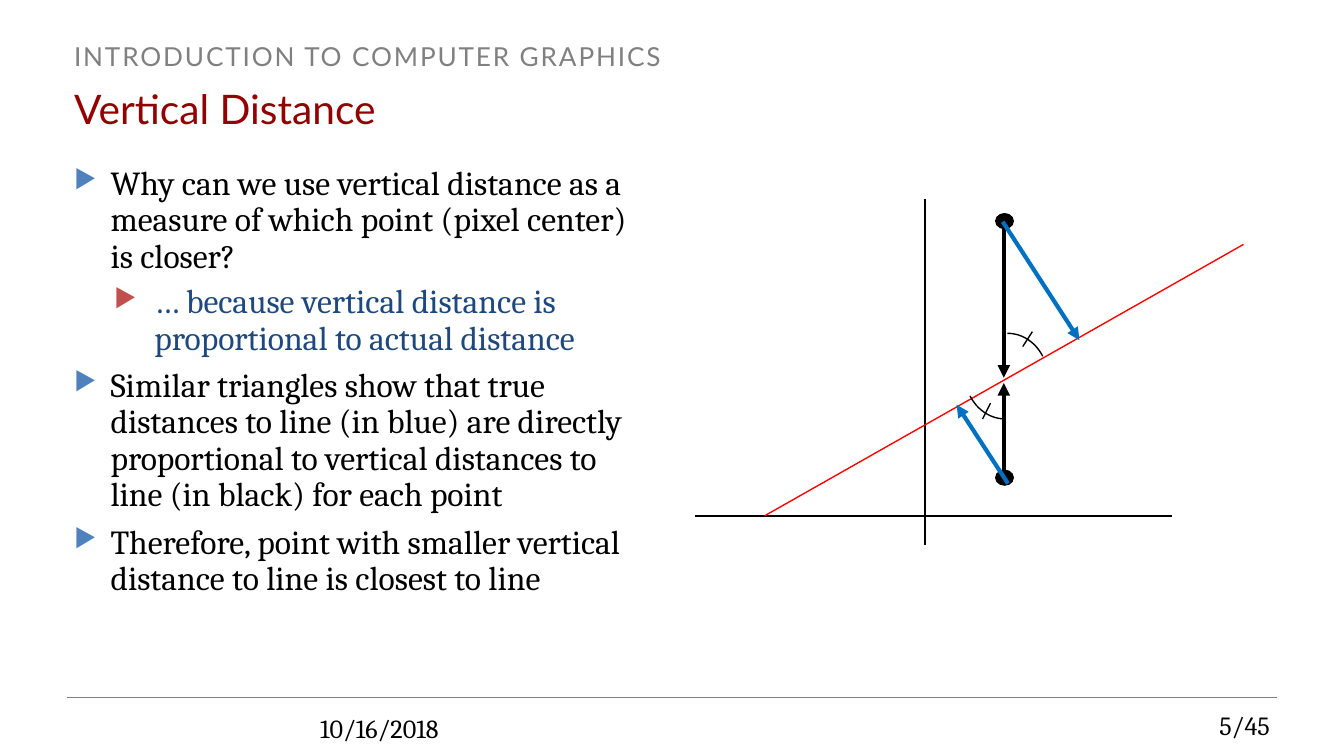
from math import cos, radians, sin

from lxml.etree import SubElement
from pptx import Presentation
from pptx.dml.color import RGBColor
from pptx.enum.shapes import MSO_CONNECTOR, MSO_SHAPE
from pptx.enum.text import MSO_ANCHOR, PP_ALIGN
from pptx.oxml.ns import qn
from pptx.util import Cm, Pt

COLORS = {
    "black": "000000",
    "gray": "808080",
    "title": "920000",
    "answer": "1F497D",
    "bullet": "4F81BD",
    "sub_bullet": "C0504D",
    "line": "FF0000",
    "distance": "0070C0",
}

prs = Presentation()
prs.slide_width, prs.slide_height = Cm(25.4), Cm(14.29)
slide = prs.slides.add_slide(prs.slide_layouts[6])
shapes = slide.shapes


def write(frame, text, size=14, font="Cambria", color="black", align=PP_ALIGN.LEFT,
          line_spacing=None, space_before=0, spacing=None, bullet=None, indent=0, hanging=0):
    """Fill the empty first paragraph of the frame, or append a new one."""
    paragraph = frame.paragraphs[0]
    if paragraph.runs:
        paragraph = frame.add_paragraph()
        paragraph.space_before = Pt(space_before)
    paragraph.alignment = align
    if line_spacing:
        paragraph.line_spacing = line_spacing
    if bullet:
        properties = paragraph._p.get_or_add_pPr()
        properties.set("marL", str(Cm(indent)))
        properties.set("indent", str(-Cm(hanging)))
        bullet_color = SubElement(properties, qn("a:buClr"))
        SubElement(bullet_color, qn("a:srgbClr"), val=COLORS[bullet])
        SubElement(properties, qn("a:buSzPct"), val="76000")
        SubElement(properties, qn("a:buChar"), char="▶")
    run = paragraph.add_run()
    run.text = text
    run.font.size = Pt(size)
    run.font.name = font
    run.font.color.rgb = RGBColor.from_string(COLORS[color])
    if spacing:
        run.font._element.set("spc", str(spacing * 100))


def draw_line(x1, y1, x2, y2, color="black", width=0.75, arrow=False):
    line = shapes.add_connector(MSO_CONNECTOR.STRAIGHT, Cm(x1), Cm(y1), Cm(x2), Cm(y2))
    line.line.color.rgb = RGBColor.from_string(COLORS[color])
    line.line.width = Pt(width)
    if arrow:
        SubElement(line.line._get_or_add_ln(), qn("a:tailEnd"), type="triangle")
    SubElement(line._element.spPr, qn("a:effectLst"))


# Text areas: left, top, width, height
frames = {}
for part, area in {
    "course": (1.27, 0.64, 22.86, 0.86),
    "title": (1.27, 1.42, 22.86, 1.27),
    "body": (1.27, 3.02, 11, 10),
    "date": (5.92, 13.34, 14.6, 0.86),
    "page": (20.75, 13.34, 3.38, 0.79),
}.items():
    frame = shapes.add_textbox(*map(Cm, area)).text_frame
    frame.word_wrap = True
    frame.margin_left = frame.margin_right = Cm(0.13)
    frame.margin_top = frame.margin_bottom = Cm(0.13)
    frames[part] = frame

write(frames["course"], "INTRODUCTION TO COMPUTER GRAPHICS", font="Lato", color="gray", spacing=1)
frames["title"].vertical_anchor = MSO_ANCHOR.MIDDLE
write(frames["title"], "Vertical Distance", size=21.8, font="Lato", color="title")
write(frames["date"], "10/16/2018")
write(frames["page"], "5/45", align=PP_ALIGN.RIGHT, line_spacing=0.9)

point = dict(bullet="bullet", indent=0.69, hanging=0.69, space_before=6)
answer = dict(bullet="sub_bullet", indent=1.52, hanging=0.76, space_before=5, color="answer")
for text, style in [
    ("Why can we use vertical distance as a measure of which point (pixel center) is closer?", point),
    ("… because vertical distance is proportional to actual distance", answer),
    ("Similar triangles show that true distances to line (in blue) are directly proportional "
     "to vertical distances to line (in black) for each point", point),
    ("Therefore, point with smaller vertical distance to line is closest to line", point),
]:
    write(frames["body"], text, size=18, line_spacing=0.9, **style)

draw_line(1.27, 13.18, 24.13, 13.18, "gray")

# Axes and the sloped line
draw_line(13.13, 9.75, 22.15, 9.75)
draw_line(17.48, 3.76, 17.48, 10.31)
draw_line(14.45, 9.75, 23.5, 4.62, "line")

# Pixel centers
for top in (4.04, 8.89):
    pixel = shapes.add_shape(MSO_SHAPE.OVAL, Cm(18.82), Cm(top), Cm(0.33), Cm(0.28))
    pixel.shadow.inherit = False
    pixel.fill.solid()
    pixel.fill.fore_color.rgb = RGBColor.from_string(COLORS["black"])
    pixel.line.color.rgb = RGBColor.from_string(COLORS["black"])
    pixel.line.width = Pt(0.75)

# Vertical distances in black, true distances in blue
for ends, color in [
    ((18.97, 8.99, 18.97, 7.24), "black"),
    ((18.97, 4.22, 18.97, 7.14), "black"),
    ((18.95, 4.19, 20.4, 6.43), "distance"),
    ((19.05, 9.14, 18.08, 7.65), "distance"),
]:
    draw_line(*ends, color, width=2.25, arrow=True)

# Equal angles: a 60 degree arc on each side of the sloped line
for center_x, center_y, start in [(19.04, 7.17, -90), (19, 7.05, 90)]:
    arc = [(Cm(center_x + 0.77 * cos(radians(angle))), Cm(center_y + 0.87 * sin(radians(angle))))
           for angle in range(start, start + 61, 5)]
    builder = shapes.build_freeform(*arc[0])
    builder.add_line_segments(arc[1:], close=False)
    angle_mark = builder.convert_to_shape()
    angle_mark.shadow.inherit = False
    angle_mark.fill.background()
    angle_mark.line.color.rgb = RGBColor.from_string(COLORS["black"])
    angle_mark.line.width = Pt(0.75)

draw_line(18.57, 7.92, 18.72, 7.62)
draw_line(19.33, 6.55, 19.51, 6.27)

prs.save("out.pptx")
